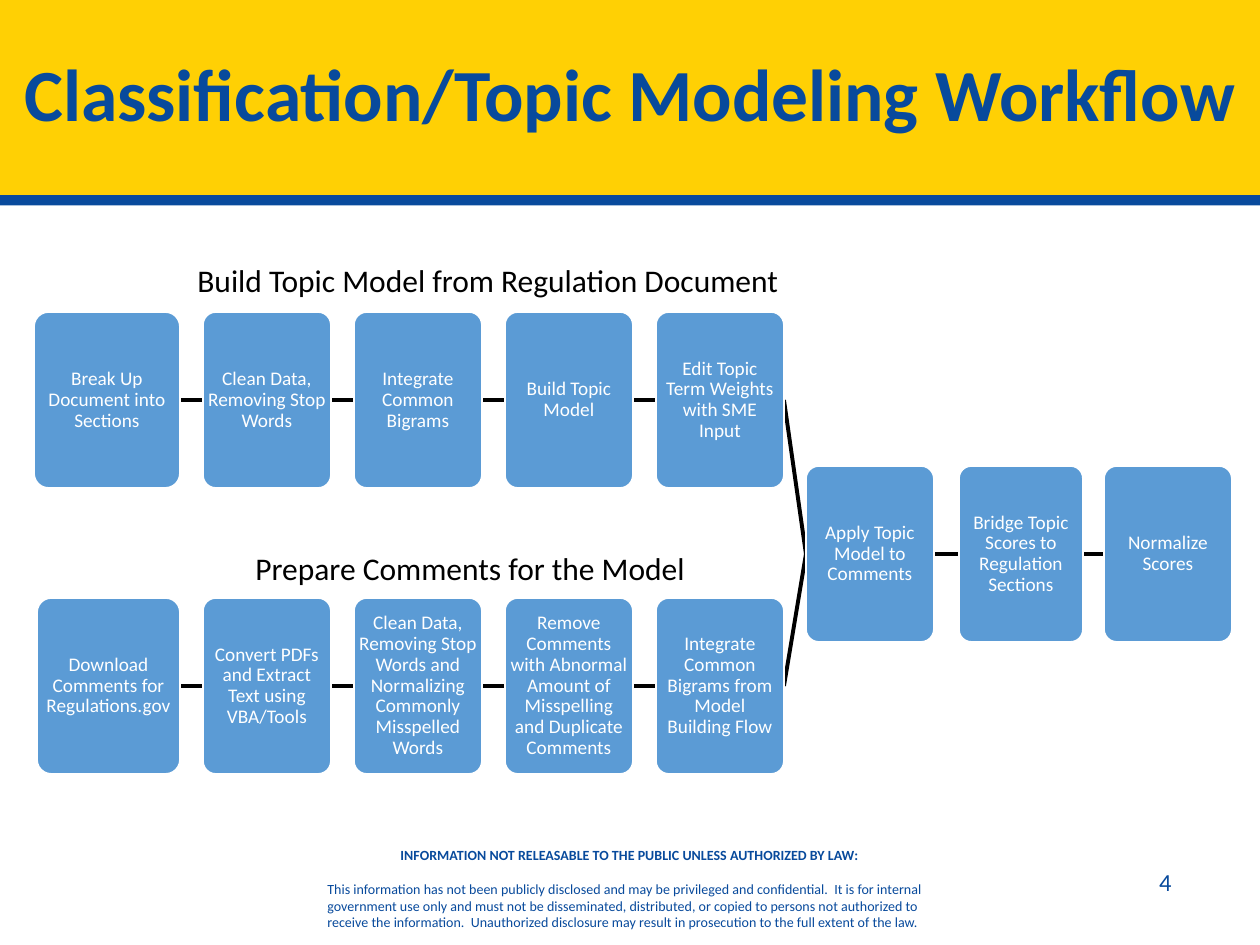
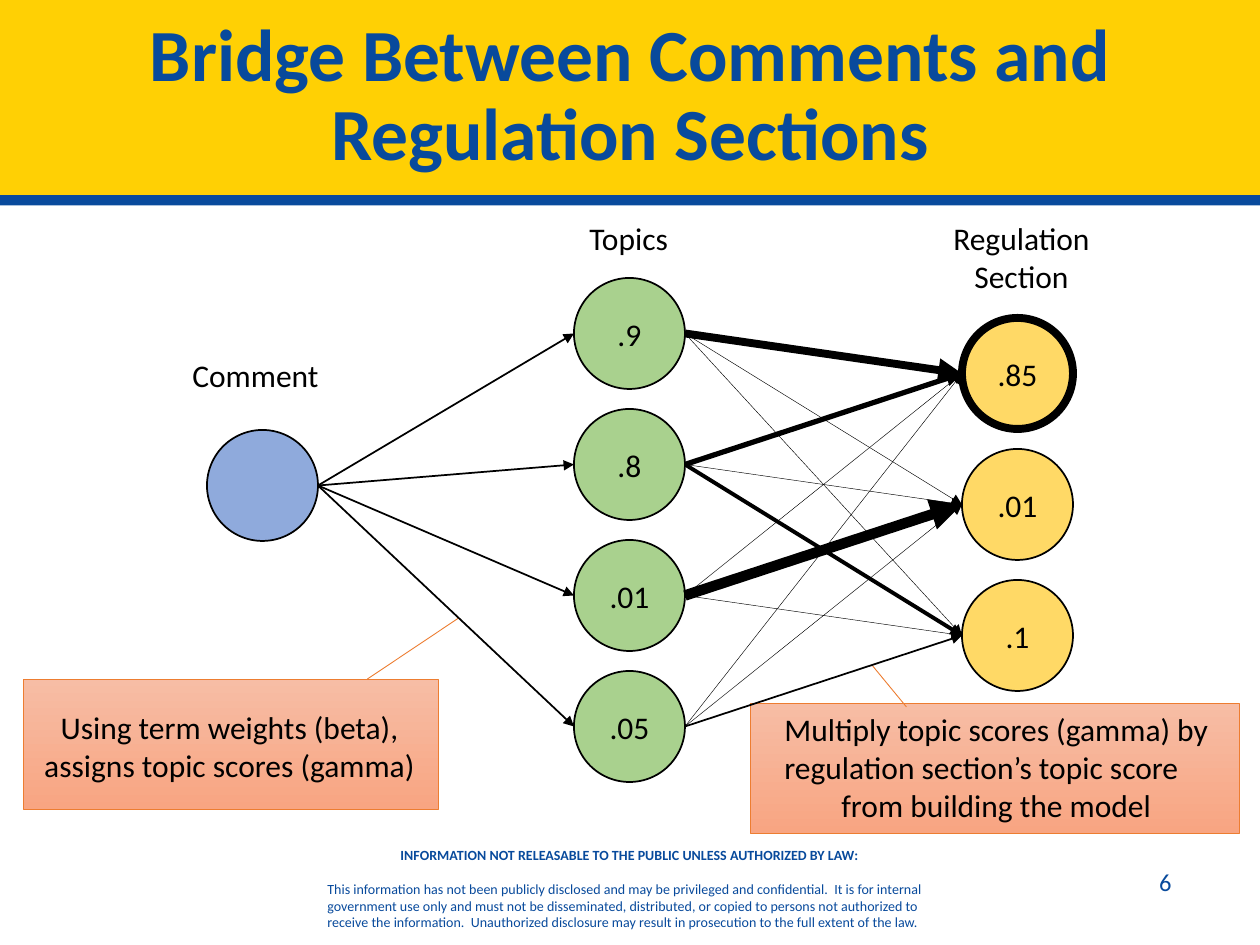
"""Build two slides on topic modelling of regulation comments."""
from itertools import pairwise
from lxml.etree import SubElement
from pptx import Presentation
from pptx.dml.color import RGBColor
from pptx.enum.shapes import MSO_CONNECTOR, MSO_SHAPE
from pptx.enum.text import MSO_ANCHOR, PP_ALIGN
from pptx.oxml.ns import qn
from pptx.util import Emu, Pt

PX = 914400 / 126
BLUE = RGBColor(0x08, 0x4A, 0x9C)
YELLOW = RGBColor(0xFF, 0xD0, 0x04)
STEP_BLUE = RGBColor(0x5B, 0x9B, 0xD5)
COMMENT_BLUE = RGBColor(0x8F, 0xAA, 0xDC)
TOPIC_GREEN = RGBColor(0xA9, 0xD1, 0x8E)
SECTION_GOLD = RGBColor(0xFF, 0xD9, 0x66)
CALLOUT_TOP = RGBColor(0xF7, 0xBD, 0xA5)
CALLOUT_BOTTOM = RGBColor(0xF8, 0xA5, 0x82)
ORANGE = RGBColor(0xED, 0x7D, 0x31)
BLACK = RGBColor(0, 0, 0)
WHITE = RGBColor(255, 255, 255)
LEFT, CENTER = PP_ALIGN.LEFT, PP_ALIGN.CENTER


def write(sp, lines, color, size, frame=None, **para):
    tf = sp.text_frame
    for name, value in (frame or {}).items():
        setattr(tf, name, value)
    for i, (text, align) in enumerate(lines):
        p = tf.add_paragraph() if i else tf.paragraphs[0]
        p.text = text
        for name, value in {"alignment": align, **para}.items():
            setattr(p, name, value)
        for name, value in {"name": "Calibri", "size": Pt(size), "bold": False}.items():
            setattr(p.font, name, value)
        p.font.color.rgb = color
    return tf.paragraphs


def connect(s, start, end, width, arrow=False):
    points = [Emu(round(v * PX)) for v in (*start, *end)]
    line = s.shapes.add_connector(MSO_CONNECTOR.STRAIGHT, *points)
    line.line.color.rgb = BLACK
    line.line.width = Pt(width)
    pr = line._element.spPr
    if arrow:
        SubElement(pr.find(qn("a:ln")), qn("a:tailEnd"), type="triangle")
    SubElement(pr, qn("a:effectLst"))


prs = Presentation()
prs.slide_width, prs.slide_height = Emu(round(1260 * PX)), Emu(round(945 * PX))

NOTICE = [
    ("INFORMATION NOT RELEASABLE TO THE PUBLIC UNLESS AUTHORIZED BY LAW:", CENTER),
    ("This information has not been publicly disclosed and may be privileged and confidential.  "
     "It is for internal government use only and must not be disseminated, distributed, or copied "
     "to persons not authorized to receive the information.  Unauthorized disclosure may result "
     "in prosecution to the full extent of the law.", LEFT),
]
slides = []
for title, number in [("Classification/Topic Modeling Workflow", "4"),
                      ("Bridge Between Comments and Regulation Sections", "6")]:
    s = prs.slides.add_slide(prs.slide_layouts[5])
    slides.append(s)
    sp = s.shapes.title
    sp.left, sp.top, sp.width, sp.height = (Emu(round(v * PX)) for v in (0, 0, 1260, 195))
    sp.fill.solid()
    sp.fill.fore_color.rgb = YELLOW
    sp.shadow.inherit = False
    shadow = SubElement(sp._element.spPr.find(qn("a:effectLst")), qn("a:outerShdw"),
                        dist="76200", dir="5400000", algn="t", rotWithShape="0")
    SubElement(shadow, qn("a:srgbClr"), val=str(BLUE))
    paragraphs = write(sp, [(title, CENTER)], BLUE, 42,
                       {"vertical_anchor": MSO_ANCHOR.MIDDLE, "word_wrap": True}, line_spacing=0.9)
    paragraphs[0].font.bold = True

    box = s.shapes.add_textbox(*(Emu(round(v * PX)) for v in (315, 840, 630, 115)))
    paragraphs = write(box, NOTICE, BLUE, 8, {"word_wrap": True})
    paragraphs[0].font.bold = True
    paragraphs[1].space_before = Pt(10)
    box = s.shapes.add_textbox(*(Emu(round(v * PX)) for v in (1134, 861, 63, 43)))
    write(box, [(number, CENTER)], BLUE, 14, {"word_wrap": True})

workflow, bridge = slides

STEP_H = 176
COLUMNS = [(203 + 151 * i, 128) for i in range(4)]
FLOWS = [
    (312, [(34, 146)] + COLUMNS,
     ["Break Up Document into Sections", "Clean Data, Removing Stop Words",
      "Integrate Common Bigrams", "Build Topic Model", "Edit Topic Term Weights with SME Input"]),
    (598, [(37, 143)] + COLUMNS,
     ["Download Comments for Regulations.gov", "Convert PDFs and Extract Text using VBA/Tools",
      "Clean Data, Removing Stop Words and Normalizing Commonly Misspelled Words",
      "Remove Comments with Abnormal Amount of Misspelling and Duplicate Comments",
      "Integrate Common Bigrams from Model Building Flow"]),
    (466, [(806, 128), (959, 124), (1104, 128)],
     ["Apply Topic Model to Comments", "Bridge Topic Scores to Regulation Sections",
      "Normalize Scores"]),
]
STEP_FRAME = {"word_wrap": True, "vertical_anchor": MSO_ANCHOR.MIDDLE}
STEP_FRAME |= {f"margin_{side}": Emu(round(PX)) for side in ("left", "top", "right", "bottom")}

merge_top, merge_columns, _ = FLOWS[-1]
for top, columns, _ in FLOWS[:2]:
    x, w = columns[-1]
    connect(workflow, (x + w, top + STEP_H / 2),
            (merge_columns[0][0], merge_top + STEP_H / 2), 2.25)
for top, columns, steps in FLOWS:
    middle = top + STEP_H / 2
    for (x, w), (next_x, _) in pairwise(columns):
        connect(workflow, (x + w, middle), (next_x, middle), 2.25)
    for (x, w), step in zip(columns, steps):
        sp = workflow.shapes.add_shape(MSO_SHAPE.ROUNDED_RECTANGLE,
                                       *(Emu(round(v * PX)) for v in (x, top, w, STEP_H)))
        sp.adjustments[0] = 0.1
        sp.shadow.inherit = False
        sp.fill.solid()
        sp.fill.fore_color.rgb = STEP_BLUE
        sp.line.color.rgb = WHITE
        sp.line.width = Pt(1)
        write(sp, [(step, CENTER)], WHITE, 11, STEP_FRAME, line_spacing=0.9)

for bounds, adjustments in [((750, 703, 489, 130), (0.03, 0.32, -0.29, 0.25)),
                            ((23, 679, 415, 130), (0, 0.83, -0.47, 1.05))]:
    sp = bridge.shapes.add_shape(MSO_SHAPE.LINE_CALLOUT_1, *(Emu(round(v * PX)) for v in bounds))
    for i, value in enumerate(adjustments):
        sp.adjustments[i] = value
    sp.shadow.inherit = False
    sp.fill.gradient()
    sp.fill.gradient_angle = 270
    for stop, color in zip(sp.fill.gradient_stops, (CALLOUT_TOP, CALLOUT_BOTTOM)):
        stop.color.rgb = color
    sp.line.color.rgb = ORANGE
    sp.line.width = Pt(0.5)

NODE = 111
NODE_STEP = 131
COMMENT_X, COMMENT_Y = 207, 430
TOPIC_X, TOPIC_Y = 574, 278
SECTION_X, SECTION_Y = 962, 318
nodes = [(COMMENT_X, COMMENT_Y, "", COMMENT_BLUE, 1)]
nodes += [(TOPIC_X, TOPIC_Y + NODE_STEP * i, score, TOPIC_GREEN, 1)
          for i, score in enumerate([".9", ".8", ".01", ".05"])]
nodes += [(SECTION_X, SECTION_Y + NODE_STEP * i, score, SECTION_GOLD, width)
          for i, (score, width) in enumerate([(".85", 4.5), (".01", 1), (".1", 1)])]
for x, y, score, color, width in nodes:
    sp = bridge.shapes.add_shape(MSO_SHAPE.OVAL, *(Emu(round(v * PX)) for v in (x, y, NODE, NODE)))
    sp.shadow.inherit = False
    sp.fill.solid()
    sp.fill.fore_color.rgb = color
    sp.line.color.rgb = BLACK
    sp.line.width = Pt(width)
    if score:
        write(sp, [(score, CENTER)], BLACK, 18, {"vertical_anchor": MSO_ANCHOR.MIDDLE})

LINK_WIDTHS = [(4.5, 0.25, 0.25), (3, 0.25, 2.25), (0.25, 6, 0.25), (0.25, 0.25, 1)]
for i, widths in enumerate(LINK_WIDTHS):
    topic_y = TOPIC_Y + NODE_STEP * i + NODE / 2
    connect(bridge, (COMMENT_X + NODE, COMMENT_Y + NODE / 2), (TOPIC_X, topic_y), 1, True)
    for j, width in enumerate(widths):
        section_y = SECTION_Y + NODE_STEP * j + NODE / 2
        connect(bridge, (TOPIC_X + NODE, topic_y), (SECTION_X, section_y), width, True)

LABELS = [
    (workflow, (185, 255, 614, 50), [("Build Topic Model from Regulation Document", LEFT)]),
    (workflow, (243, 543, 460, 50), [("Prepare Comments for the Model", LEFT)]),
    (bridge, (180, 350, 152, 50), [("Comment", LEFT)]),
    (bridge, (577, 213, 105, 50), [("Topics", LEFT)]),
    (bridge, (941, 213, 164, 89), [("Regulation", LEFT), ("Section", CENTER)]),
    (bridge, (30, 702, 399, 89),
     [("Using term weights (beta),", CENTER), ("assigns topic scores (gamma)", CENTER)]),
    (bridge, (772, 704, 455, 127),
     [("Multiply topic scores (gamma) by", LEFT), ("regulation section’s topic score", LEFT),
      ("from building the model", CENTER)]),
]
for s, bounds, lines in LABELS:
    box = s.shapes.add_textbox(*(Emu(round(v * PX)) for v in bounds))
    write(box, lines, BLACK, 18, {"word_wrap": False})

prs.save("out.pptx")
